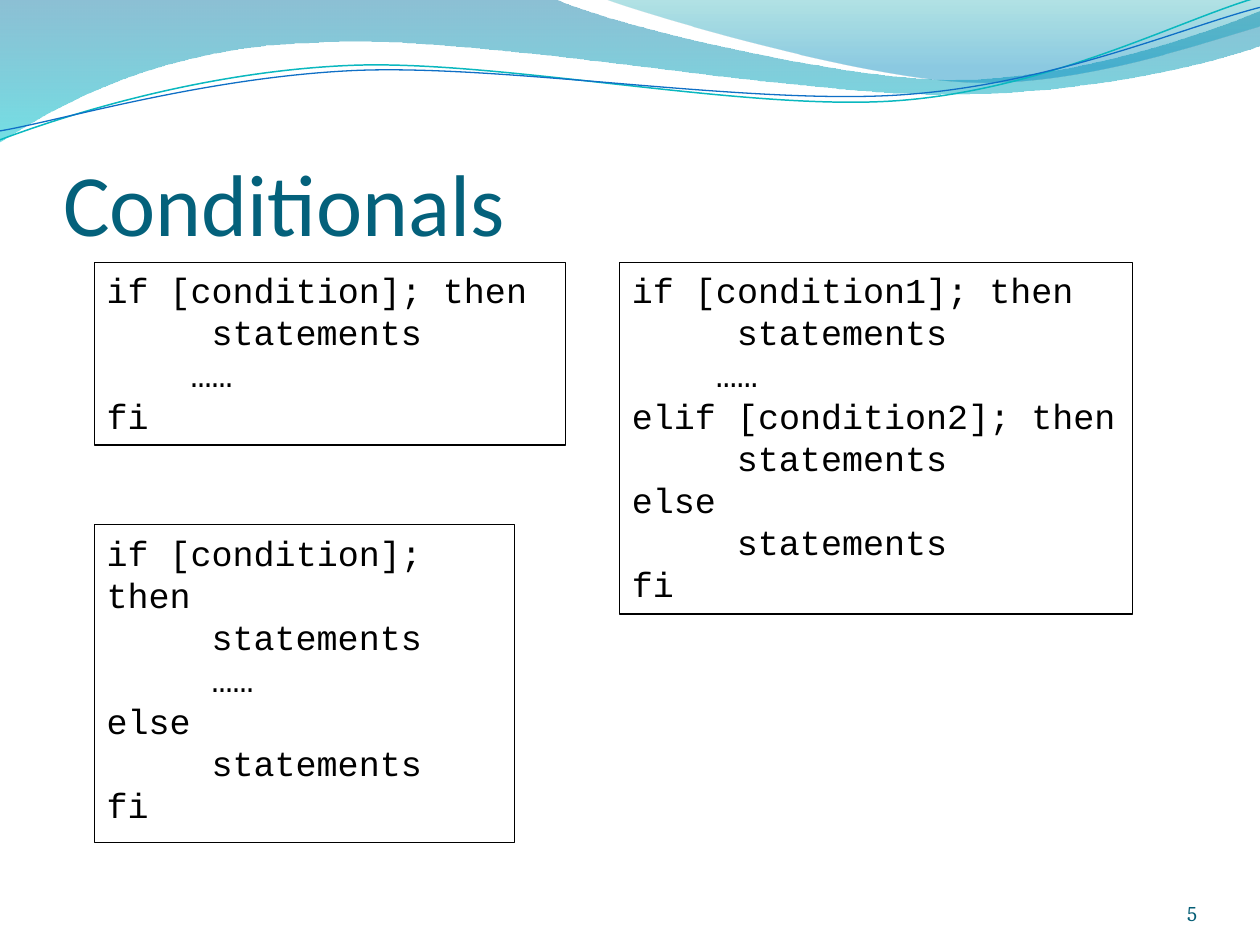
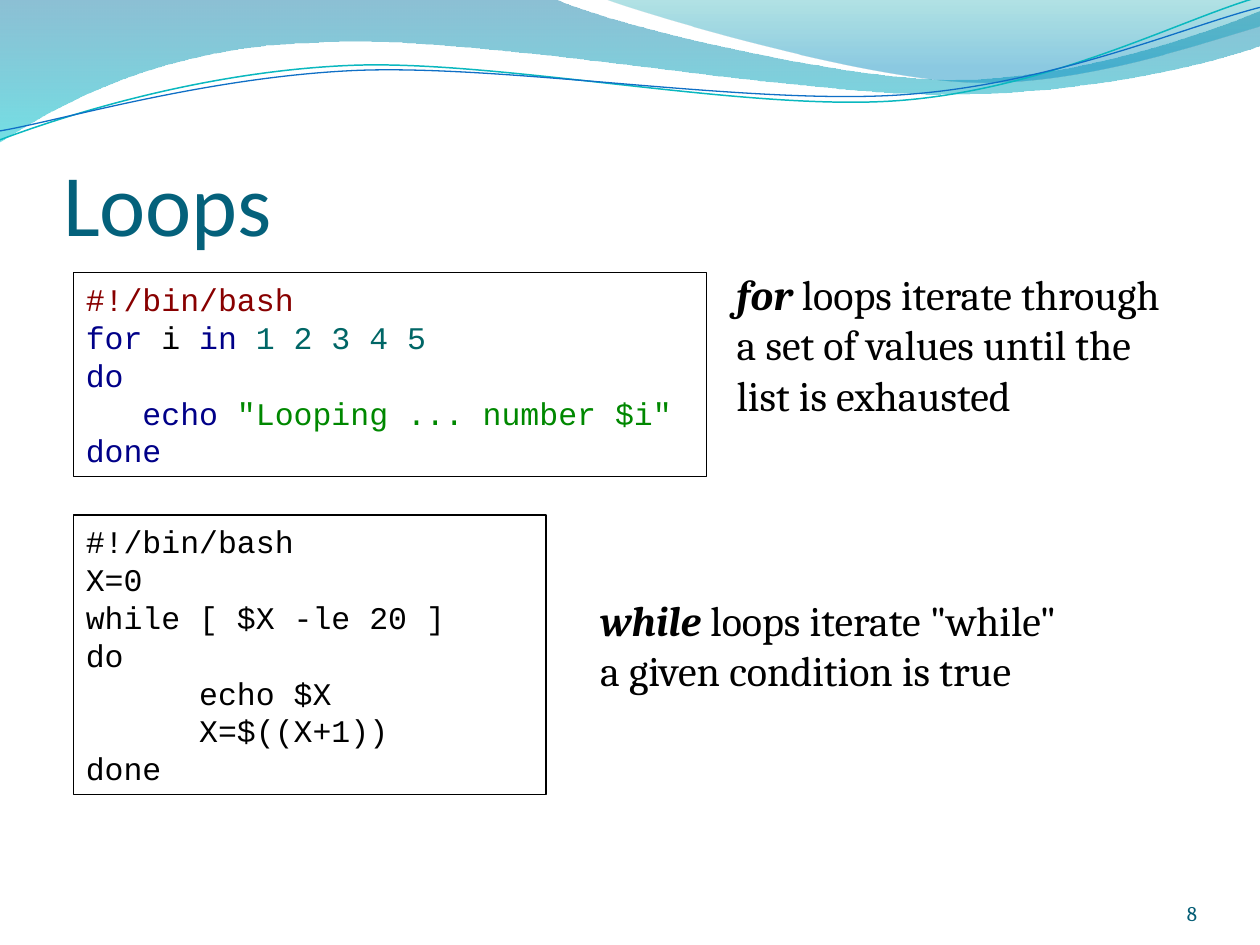
"""Build two slides on shell scripting, conditionals and loops, under a shared wave banner."""
from lxml import etree
from pptx import Presentation
from pptx.dml.color import RGBColor
from pptx.enum.shapes import MSO_SHAPE
from pptx.enum.text import MSO_ANCHOR, PP_ALIGN
from pptx.oxml.ns import qn
from pptx.util import Cm, Pt

RECTANGLE = MSO_SHAPE.RECTANGLE
TOP, MIDDLE, BOTTOM = MSO_ANCHOR.TOP, MSO_ANCHOR.MIDDLE, MSO_ANCHOR.BOTTOM
LEFT, RIGHT = PP_ALIGN.LEFT, PP_ALIGN.RIGHT
COLORS = {
    "title": "04617B", "number": "045D75", "text": "000000",
    "shebang": "880000", "keyword": "000088", "value": "006666", "string": "008800",
    "band top": "0074A1", "band bottom": "00C6CF",
    "corner top": "00A1A9", "corner bottom": "008BBF",
    "teal wave": "0AB8BF", "blue wave": "0F6FC6",
}
TITLE_FONT, BODY_FONT, CODE_FONT = "Calibri", "Cambria", "Courier New"
CHAR_WIDTH = 0.6

BANDS = [
    ([(0, 0), (11.18, -0.02), (12.09, 0.43, 16.87, 1.6, 19.25, 1.6),
      (21.67, 1.6, 24.33, 0.66, 25.4, 0.23), (25.43, 0.91),
      (24.97, 1.12, 22.1, 1.93, 18.95, 1.9), (15.8, 1.9, 9.7, 0.71, 6.53, 0.86),
      (3.28, 0.91, 1.17, 2.11, -0.02, 2.87)],
     [(0, "band top", 45), (100, "band bottom", 55)]),
    ([(12.17, -0.02), (12.93, 0.28, 17.32, 1.57, 19.53, 1.65),
      (21.74, 1.75, 24.41, 0.81, 25.4, 0.53), (25.4, 0)],
     [(0, "corner top", 30), (80, "corner bottom", 45)]),
]
WAVES = [
    ([(0, 2.82), (1.22, 2.36, 4.01, 1.45, 7.04, 1.32),
      (10.03, 1.19, 15.06, 2.26, 18.11, 2.03), (21.16, 1.8, 23.83, 0.38, 25.35, -0.05)],
     "teal wave", 0.85),
    ([(0, 2.64), (1.19, 2.44, 4.17, 1.55, 7.19, 1.42),
      (10.24, 1.3, 15.16, 2.13, 18.21, 1.91), (21.23, 1.7, 23.9, 0.53, 25.4, 0.15)],
     "blue wave", 0.75),
]

STATEMENTS = (5, [("statements", "text")])
ELSE = (0, [("else", "text")])
FI = (0, [("fi", "text")])
IF = (0, [("if [condition]; then", "text")])
LESSONS = [
    {
        "title": "Conditionals", "number": "5", "size": 20, "anchor": TOP,
        "code": [
            ((1.9, 5.29, 9.5, 3.68), [IF, STATEMENTS, (4, [("……", "text")]), FI]),
            ((1.9, 10.58, 8.47, 6.4),
             [IF, STATEMENTS, (5, [("……", "text")]), ELSE, STATEMENTS, FI]),
            ((12.49, 5.29, 10.34, 7.09),
             [(0, [("if [condition1]; then", "text")]), STATEMENTS, (4, [("……", "text")]),
              (0, [("elif [condition2]; then", "text")]), STATEMENTS, ELSE, STATEMENTS, FI]),
        ],
        "explanations": [],
    },
    {
        "title": "Loops", "number": "8", "size": 18, "anchor": MIDDLE,
        "code": [
            ((1.48, 5.5, 12.77, 4.11),
             [(0, [("#!/bin/bash", "shebang")]),
              (0, [("for ", "keyword"), ("i ", "text"), ("in ", "keyword"),
                   ("1 2 3 4 5", "value")]),
              (0, [("do", "keyword")]),
              (3, [("echo ", "keyword"), ('"Looping ... number $i"', "string")]),
              (0, [("done", "keyword")])]),
            ((1.48, 10.38, 9.53, 5.64),
             [(0, [("#!/bin/bash", "text")]), (0, [("X=0", "text")]),
              (0, [("while [ $X -le 20 ]", "text")]), (0, [("do", "text")]),
              (6, [("echo $X", "text")]), (6, [("X=$((X+1))", "text")]),
              (0, [("done", "text")])]),
        ],
        "explanations": [
            ((14.6, 5.29, 9.1, 4.37), "for",
             " loops iterate through a set of values until the list is exhausted"),
            ((11.85, 11.86, 10.16, 2.31), "while",
             ' loops iterate "while" a given condition is true'),
        ],
    },
]


def trace(shapes, segments, closed):
    """Draw an outline from points and cubic curves given in centimetres."""
    corners = [(Cm(segment[-2]), Cm(segment[-1])) for segment in segments]
    builder = shapes.build_freeform(*corners[0])
    builder.add_line_segments(corners[1:], close=closed)
    outline = builder.convert_to_shape()
    outline.shadow.inherit = False
    edges = list(outline.element.iter(qn("a:lnTo")))
    for edge, segment in zip(edges, segments[1:]):
        if len(segment) == 6:
            curve = etree.Element(qn("a:cubicBezTo"))
            for x, y in zip(segment[::2], segment[1::2]):
                etree.SubElement(curve, qn("a:pt"), x=str(Cm(x) - outline.left),
                                 y=str(Cm(y) - outline.top))
            edge.getparent().replace(edge, curve)
    return outline


def style(font, name, size, color):
    """Set the typeface, size and colour of a font."""
    font.name = name
    font.size = Pt(size)
    font.color.rgb = RGBColor.from_string(COLORS[color])


deck = Presentation()
deck.slide_width, deck.slide_height = Cm(25.4), Cm(19.05)
layout = deck.slide_layouts[5]
slides = [deck.slides.add_slide(layout) for lesson in LESSONS]

for segments, stops in BANDS:
    band = trace(slides[0].shapes, segments, True)
    band.line.fill.background()
    band.fill.gradient()
    gradient = band.element.spPr.find(qn("a:gradFill"))
    for child in list(gradient):
        gradient.remove(child)
    stop_list = etree.SubElement(gradient, qn("a:gsLst"))
    for position, color, opacity in stops:
        stop = etree.SubElement(stop_list, qn("a:gs"), pos=str(position * 1000))
        shade = etree.SubElement(stop, qn("a:srgbClr"), val=COLORS[color])
        etree.SubElement(shade, qn("a:alpha"), val=str(opacity * 1000))
    etree.SubElement(gradient, qn("a:lin"), ang="5400000", scaled="0")
    layout.shapes.element.append(band.element)

for segments, color, width in WAVES:
    wave = trace(slides[0].shapes, segments, False)
    wave.fill.background()
    wave.line.color.rgb = RGBColor.from_string(COLORS[color])
    wave.line.width = Pt(width)
    layout.shapes.element.append(wave.element)

for slide, lesson in zip(slides, LESSONS):
    title = slide.shapes.title
    title.left, title.top, title.width, title.height = Cm(1.27), Cm(1.95), Cm(22.86), Cm(3.17)
    number = slide.shapes.add_textbox(Cm(22.02), Cm(17.65), Cm(2.11), Cm(1.02))
    for label, name, font_name, size, alignment, margin_top in (
        (title, "title", TITLE_FONT, 50, LEFT, 0.13),
        (number, "number", BODY_FONT, 12, RIGHT, 0),
    ):
        frame = label.text_frame
        frame.text = lesson[name]
        frame.word_wrap = True
        frame.vertical_anchor = BOTTOM
        frame.margin_left = frame.margin_right = frame.margin_bottom = 0
        frame.margin_top = Cm(margin_top)
        frame.paragraphs[0].alignment = alignment
        style(frame.paragraphs[0].font, font_name, size, name)

    for place, lines in lesson["code"]:
        listing = slide.shapes.add_shape(RECTANGLE, *map(Cm, place))
        listing.shadow.inherit = False
        listing.fill.background()
        listing.line.color.rgb = RGBColor.from_string(COLORS["text"])
        listing.line.width = Pt(0.75)
        frame = listing.text_frame
        frame.word_wrap = True
        frame.vertical_anchor = lesson["anchor"]
        for index, (indent, pieces) in enumerate(lines):
            line = frame.add_paragraph() if index else frame.paragraphs[0]
            line.alignment = LEFT
            style(line.font, CODE_FONT, lesson["size"], pieces[0][1])
            if indent:
                margin = Pt(indent * CHAR_WIDTH * lesson["size"])
                line._p.get_or_add_pPr().set("marL", str(margin))
            for text, color in pieces:
                run = line.add_run()
                run.text = text
                if len(pieces) > 1:
                    run.font.color.rgb = RGBColor.from_string(COLORS[color])

    for place, keyword, meaning in lesson["explanations"]:
        explanation = slide.shapes.add_textbox(*map(Cm, place))
        explanation.text_frame.word_wrap = True
        sentence = explanation.text_frame.paragraphs[0]
        style(sentence.font, BODY_FONT, 24, "text")
        term = sentence.add_run()
        term.text = keyword
        term.font.bold = term.font.italic = True
        sentence.add_run().text = meaning

deck.save("out.pptx")
